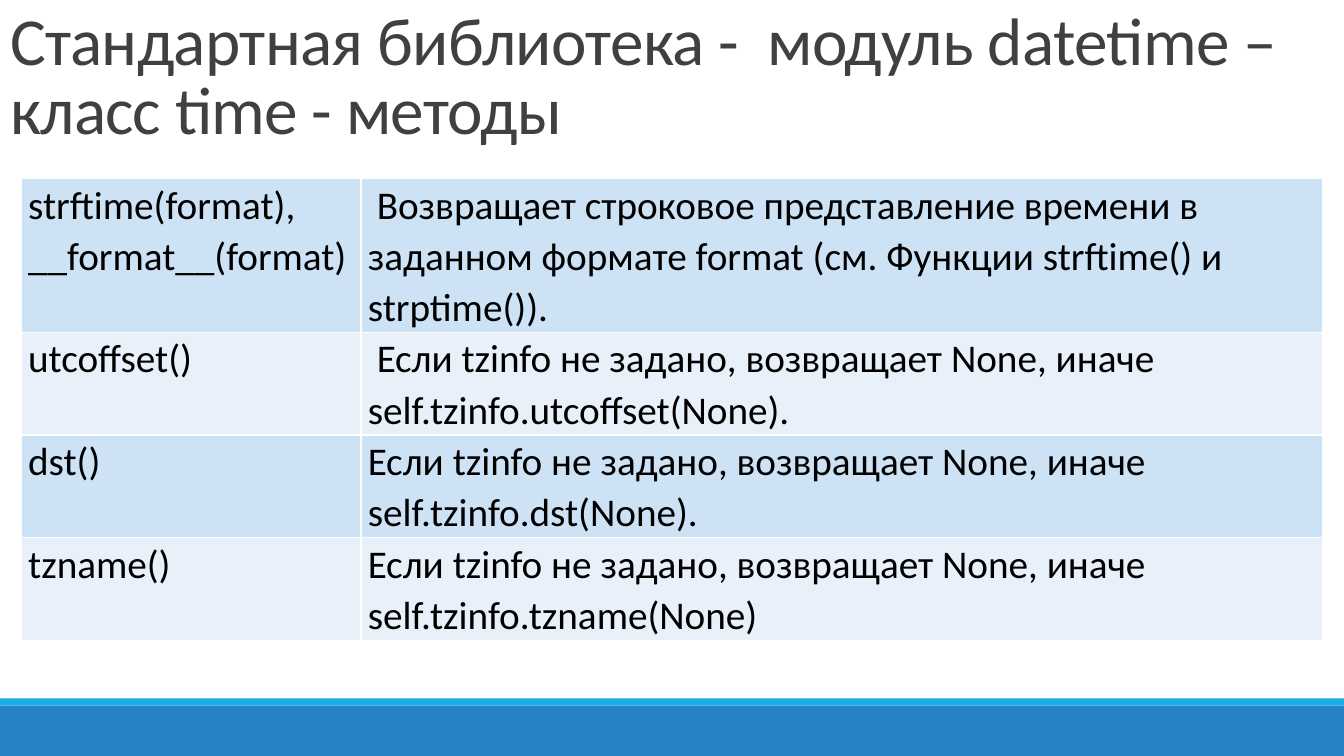
from pptx import Presentation
from pptx.dml.color import RGBColor
from pptx.enum.shapes import MSO_SHAPE
from pptx.enum.text import MSO_ANCHOR, MSO_AUTO_SIZE, PP_ALIGN
from pptx.oxml import parse_xml
from pptx.oxml.ns import nsdecls
from pptx.util import Inches, Pt

WIDTH = 13.33
TITLE = "Стандартная библиотека -  модуль datetime – класс time - методы"
METHODS = [
    ("strftime(format), __format__(format)",
     " Возвращает строковое представление времени в заданном формате format "
     "(см. Функции strftime() и strptime()).", 1.52),
    ("utcoffset()",
     " Если tzinfo не задано, возвращает None, иначе "
     "self.tzinfo.utcoffset(None).", 1.02),
    ("dst()",
     "Если tzinfo не задано, возвращает None, иначе self.tzinfo.dst(None).",
     1.02),
    ("tzname()",
     "Если tzinfo не задано, возвращает None, иначе "
     "self.tzinfo.tzname(None)", 1.02),
]
BANDS = ["CDE3F5", "E8F1FA"]


def paint(fill, color):
    fill.solid()
    fill.fore_color.rgb = RGBColor.from_string(color)


def style(para, size, color, spacing):
    para.alignment = PP_ALIGN.LEFT
    para.line_spacing = spacing
    para.font.name = "Calibri"
    para.font.size = Pt(size)
    para.font.color.rgb = RGBColor.from_string(color)


def add_bar(slide, top, height, color):
    bar = slide.shapes.add_shape(
        MSO_SHAPE.RECTANGLE, 0, Inches(top), Inches(WIDTH), Inches(height))
    bar.shadow.inherit = False
    paint(bar.fill, color)
    bar.line.fill.background()


def set_title(slide):
    title = slide.shapes.title
    title.left = title.top = 0
    title.width, title.height = Inches(WIDTH), Inches(1.52)
    frame = title.text_frame
    frame.text = TITLE
    frame.word_wrap = True
    frame.auto_size = MSO_AUTO_SIZE.NONE
    frame.vertical_anchor = MSO_ANCHOR.BOTTOM
    para = frame.paragraphs[0]
    style(para, 48, "404040", 0.85)
    para.runs[0]._r.get_or_add_rPr().set("spc", "-50")


def add_borders(cell, color):
    props = cell._tc.get_or_add_tcPr()
    for side in "LRTB":
        props.append(parse_xml(
            f'<a:ln{side} {nsdecls("a")} w="{Pt(1)}"><a:solidFill>'
            f'<a:srgbClr val="{color}"/></a:solidFill></a:ln{side}>'))


def fill_cell(cell, text, color):
    cell.margin_left = cell.margin_right = Inches(0.07)
    cell.margin_top = cell.margin_bottom = 0
    add_borders(cell, "FFFFFF")
    paint(cell.fill, color)
    cell.text = text
    style(cell.text_frame.paragraphs[0], 28, "000000", 1.07)


def add_methods(slide):
    widths = [3.37, 9.54]
    height = sum(row[-1] for row in METHODS)
    table = slide.shapes.add_table(
        len(METHODS), len(widths), Inches(0.21), Inches(1.77),
        Inches(sum(widths)), Inches(height)).table
    table.first_row = table.horz_banding = False
    for column, width in zip(table.columns, widths):
        column.width = Inches(width)
    for i, (*texts, tall) in enumerate(METHODS):
        table.rows[i].height = Inches(tall)
        for j, text in enumerate(texts):
            fill_cell(table.cell(i, j), text, BANDS[i % 2])


def main():
    deck = Presentation()
    deck.slide_width, deck.slide_height = Inches(WIDTH), Inches(7.5)
    slide = deck.slides.add_slide(deck.slide_layouts[5])
    add_bar(slide, 7, 0.5, "2683C6")
    add_bar(slide, 6.93, 0.07, "1CADE4")
    set_title(slide)
    add_methods(slide)
    deck.save("out.pptx")


if __name__ == "__main__":
    main()
